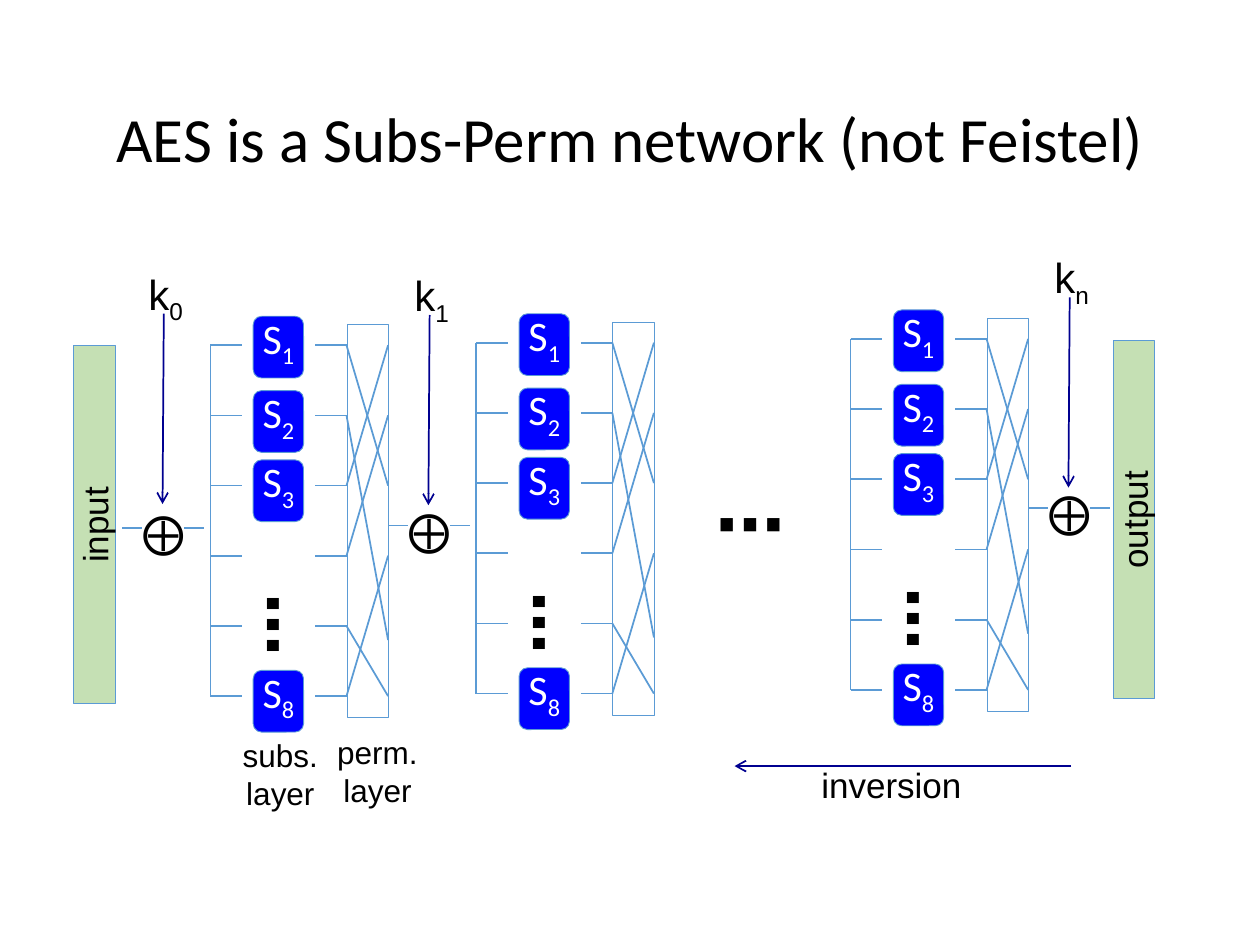
import pptx
import pptx.util
import pptx.dml.color
import pptx.enum.shapes
import pptx.enum.text
import pptx.oxml.ns
import lxml.etree

Inches = pptx.util.Inches
Pt = pptx.util.Pt
SHAPES = pptx.enum.shapes.MSO_SHAPE
ALIGN = pptx.enum.text.PP_ALIGN
MIDDLE = pptx.enum.text.MSO_ANCHOR.MIDDLE
COLORS = {"ink": "000000", "wire": "5B9BD5", "arrow": "000090",
          "sbox": "0000FF", "block": "C5E0B4", "white": "FFFFFF"}
RGB = {name: pptx.dml.color.RGBColor.from_string(code) for name, code in COLORS.items()}


def write(frame, text, subscript="", align=ALIGN.LEFT, color="ink", **font_format):
    """Fill a text frame, one paragraph a line, with an optional subscript at the end."""
    for number, line in enumerate(text.split("\n")):
        paragraph = frame.add_paragraph() if number else frame.paragraphs[0]
        paragraph.alignment = align
        for part in filter(None, (line, subscript)):
            run = paragraph.add_run()
            run.text = part
            run.font.color.rgb = RGB[color]
            for attribute, value in font_format.items():
                setattr(run.font, attribute, value)
            if part is subscript:
                run._r.get_or_add_rPr().set("baseline", "-25000")


def connect(x1, y1, x2, y2, color="wire"):
    """Draw a plain wire, or an arrow when the colour is the arrow colour."""
    connector = slide.shapes.add_connector(
        pptx.enum.shapes.MSO_CONNECTOR.STRAIGHT,
        Inches(x1), Inches(y1), Inches(x2), Inches(y2))
    connector.line.color.rgb = RGB[color]
    connector.line.width = Pt(1)
    if color == "arrow":
        lxml.etree.SubElement(connector.line._get_or_add_ln(),
                              pptx.oxml.ns.qn("a:tailEnd"), type="arrow")
    lxml.etree.SubElement(connector._element.spPr, pptx.oxml.ns.qn("a:effectLst"))


deck = pptx.Presentation()
deck.slide_width, deck.slide_height = Inches(10), Inches(7.5)
slide = deck.slides.add_slide(deck.slide_layouts[5])

title = slide.shapes.title
title_box = {"left": 0.69, "top": 0.4, "width": 8.62, "height": 1.45}
for side, length in title_box.items():
    setattr(title, side, Inches(length))
title.text_frame.vertical_anchor = MIDDLE
write(title.text_frame, "AES is a Subs-Perm network (not Feistel)",
      align=ALIGN.CENTER, size=Pt(36), name="Calibri")
title.text_frame.paragraphs[0].line_spacing = 0.9
title.text_frame.paragraphs[0].space_before = Pt(7.5)

# Boxes: kind, left, top, width, height, rotation, fill, text, subscript
boxes = [
    (SHAPES.RECTANGLE, -0.67, 4, 2.84, 0.33, 270, "block", "input", ""),
    (SHAPES.RECTANGLE, 7.58, 3.96, 2.84, 0.33, 270, "block", "output", ""),
]
# Labels: text, subscript, left, top, width, height, rotation, size, bold, alignment
labels = [
    ("subs.\nlayer", "", 1.82, 5.79, 0.81, 0.71, 0, 18, False, ALIGN.CENTER),
    ("perm.\nlayer", "", 2.57, 5.77, 0.85, 0.71, 0, 18, False, ALIGN.CENTER),
    ("inversion", "", 6.42, 6.01, 1.33, 0.44, 0, 20, False, ALIGN.LEFT),
    ("⋯", "", 5.58, 3.76, 0.67, 0.77, 0, 40, True, ALIGN.LEFT),
]

# Rounds: each is the same network, placed at the top of its input bus
row_gap = 0.557
sboxes = {"1": -0.23, "2": 0.36, "3": 0.91, "8": 2.58}
permutation = [2, 4.2, 0, 1, 5, 3]
for x, y in [(1.67, 2.74), (3.78, 2.72), (6.75, 2.69)]:
    connect(x, y + 5 * row_gap, x, y)
    for row, target in enumerate(permutation):
        wire_y = y + row * row_gap
        connect(x, wire_y, x + 0.25, wire_y)
        connect(x + 0.83, wire_y, x + 1.08, wire_y)
        connect(x + 1.08, wire_y, x + 1.41, y + target * row_gap)
    for index, offset in sboxes.items():
        boxes.append((SHAPES.ROUNDED_RECTANGLE, x + 0.34, y + offset, 0.4, 0.49,
                      0, "sbox", "S", index))
    boxes.append((SHAPES.RECTANGLE, x - 0.31, y + 1.23, 3.12, 0.33, 270, None, "", ""))
    labels.append(("⋯", "", x + 0.39, y + 1.65, 0.26, 0.71, 90, 36, True, ALIGN.LEFT))

# Key additions: key index, left and top of the XOR sign, top of the key label
for key, x, y, key_y in [("0", 1.01, 4.03, 2.08), ("1", 3.12, 4.01, 2.09),
                         ("n", 8.2, 3.87, 1.95)]:
    labels.append(("⨁", "", x, y, 0.49, 0.5, 270, 24, False, ALIGN.LEFT))
    labels.append(("k", key, x + 0.07, key_y, 0.49, 0.5, 0, 24, False, ALIGN.LEFT))
    connect(x + 0.29, key_y + 0.41, x + 0.28, key_y + 1.92, "arrow")
    for start in (-0.04, 0.45):
        connect(x + start, y + 0.16, x + start + 0.16, y + 0.16)

connect(8.5, 6.08, 5.83, 6.08, "arrow")

for kind, left, top, width, height, rotation, fill, text, subscript in boxes:
    box = slide.shapes.add_shape(kind, Inches(left), Inches(top), Inches(width), Inches(height))
    box.rotation = rotation
    box.shadow.inherit = False
    box.line.color.rgb = RGB["wire"]
    box.line.width = Pt(0.5)
    if fill:
        box.fill.solid()
        box.fill.fore_color.rgb = RGB[fill]
    else:
        box.fill.background()
    frame = box.text_frame
    frame.vertical_anchor = MIDDLE
    if fill == "sbox":
        frame.margin_left = frame.margin_right = frame.margin_top = 0
        frame.margin_bottom = Inches(0.1)
        write(frame, text, subscript, ALIGN.CENTER, "white", size=Pt(24), name="Calibri")
    elif text:
        write(frame, text, align=ALIGN.CENTER, size=Pt(20), name="Arial")

for text, subscript, left, top, width, height, rotation, size, bold, align in labels:
    label = slide.shapes.add_textbox(Inches(left), Inches(top), Inches(width), Inches(height))
    label.rotation = rotation
    label.text_frame.word_wrap = rotation == 90
    label.text_frame.auto_size = pptx.enum.text.MSO_AUTO_SIZE.SHAPE_TO_FIT_TEXT
    write(label.text_frame, text, subscript, align, size=Pt(size), bold=bold, name="Arial")

deck.save("out.pptx")
